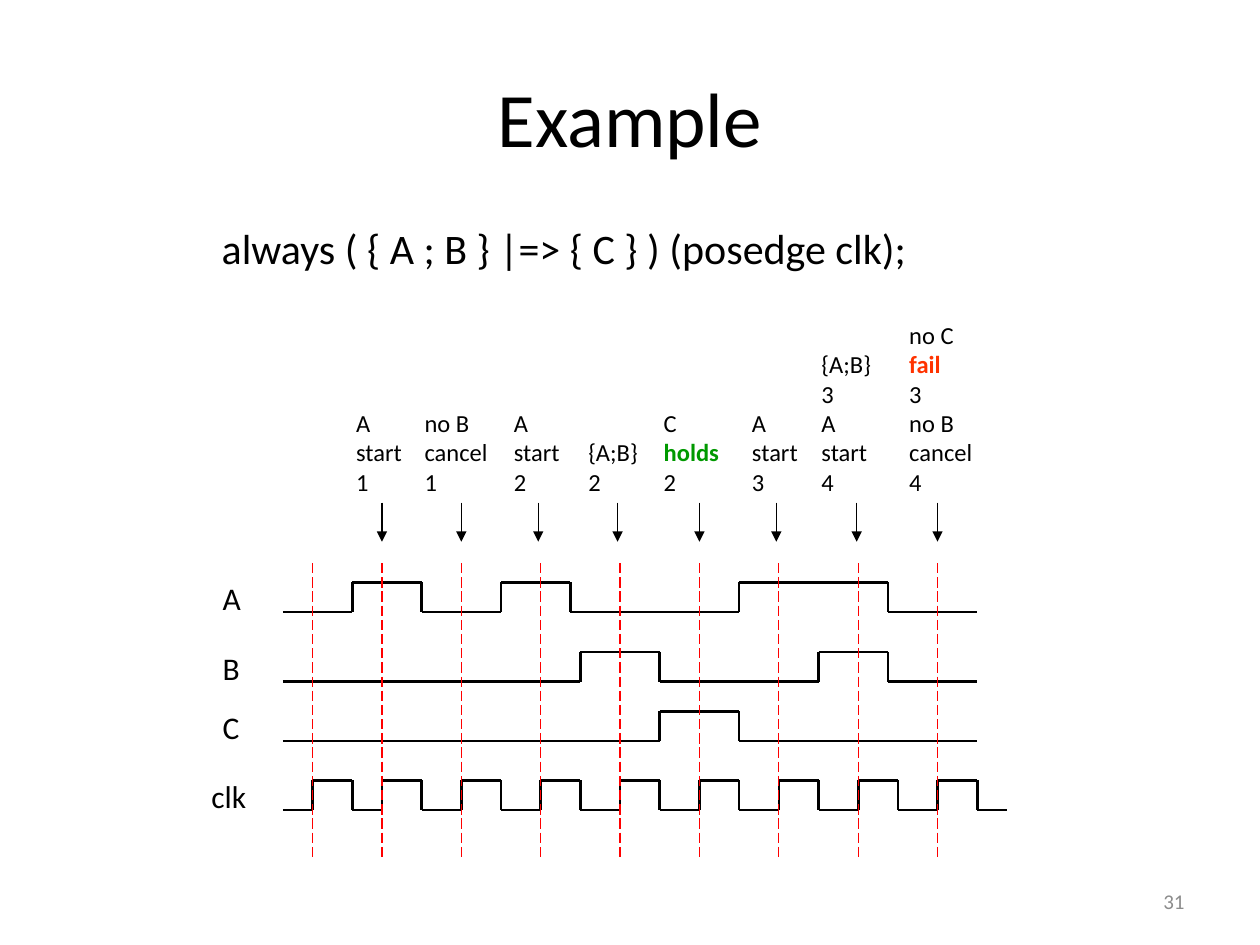
from dataclasses import dataclass

from lxml import etree
from pptx import Presentation
from pptx.dml.color import RGBColor
from pptx.enum.dml import MSO_LINE
from pptx.enum.shapes import MSO_CONNECTOR
from pptx.enum.text import MSO_ANCHOR, MSO_AUTO_SIZE, PP_ALIGN
from pptx.oxml.ns import qn
from pptx.shapes.connector import Connector
from pptx.slide import Slide
from pptx.text.text import TextFrame, _Paragraph
from pptx.util import Cm, Pt

STRAIGHT = MSO_CONNECTOR.STRAIGHT
LONG_DASH = MSO_LINE.LONG_DASH
MIDDLE = MSO_ANCHOR.MIDDLE
GROW = MSO_AUTO_SIZE.SHAPE_TO_FIT_TEXT
NO_FIT = MSO_AUTO_SIZE.NONE
CENTER, RIGHT = PP_ALIGN.CENTER, PP_ALIGN.RIGHT

BLACK = RGBColor(0x00, 0x00, 0x00)
RED = RGBColor(0xFF, 0x00, 0x00)
GREEN = RGBColor(0x00, 0x99, 0x00)
ORANGE = RGBColor(0xFF, 0x33, 0x00)
GRAY = RGBColor(0x8C, 0x8C, 0x8C)
VERDICT_COLORS = {"holds": GREEN, "fail": ORANGE}

FONT = "Calibri"
WAVE_START, WAVE_END, CLOCK_END = 5.7, 19.7, 20.3
WAVE_HEIGHT = 0.6
LABEL_RISE = 0.79
CLOCK_TOP, CLOCK_BOTTOM = 11.35, 17.35
EVENT_BOTTOM, ARROW_BOTTOM = 10.13, 10.92
LINE_HEIGHT, BOX_PADDING = 0.593, 0.25

CLOCK_RISES = [6.3] + [7.7 + 1.6 * cycle for cycle in range(8)]
CLOCK_FALLS = [7.1] + [rise + 0.8 for rise in CLOCK_RISES[1:]]
CLOCK_EDGES = sorted(CLOCK_RISES + CLOCK_FALLS)


@dataclass(frozen=True)
class Signal:
    name: str
    label_left: float
    label_width: float
    low: float
    edges: list[float]
    end: float = WAVE_END


@dataclass(frozen=True)
class Event:
    lines: list[str]
    left: float
    width: float
    arrow: float


SIGNALS = [
    Signal("A", 4.24, 0.94, 12.34, [7.1, 8.5, 10.1, 11.5, 14.9, 17.9]),
    Signal("B", 4.24, 0.94, 13.74, [11.7, 13.3, 16.5, 17.9]),
    Signal("C", 4.24, 0.96, 14.94, [13.3, 14.9]),
    Signal("clk", 4.01, 1.3, 16.33, CLOCK_EDGES, CLOCK_END),
]

EVENTS = [
    Event(["A", "start", "1"], 6.93, 1.47, 7.7),
    Event(["no B", "cancel", "1"], 8.31, 1.93, 9.3),
    Event(["A", "start", "2"], 10.11, 1.47, 10.85),
    Event(["{A;B}", "2"], 11.61, 1.63, 12.45),
    Event(["C", "holds", "2"], 13.13, 1.83, 14.1),
    Event(["A", "start", "3"], 14.91, 1.47, 15.65),
    Event(["{A;B}", "3", "A", "start", "4"], 16.31, 1.63, 17.27),
    Event(["no C", "fail", "3", "no B", "cancel", "4"], 18.08, 1.93, 18.9),
]


def add_run(paragraph: _Paragraph, text: str, size: float,
            color: RGBColor = BLACK, bold: bool = False) -> None:
    run = paragraph.add_run()
    run.text = text
    run.font.name = FONT
    run.font.size = Pt(size)
    run.font.bold = bold
    run.font.color.rgb = color


def add_text_frame(slide: Slide, left: float, top: float, width: float,
                   height: float, wrap: bool = False) -> TextFrame:
    shape = slide.shapes.add_textbox(Cm(left), Cm(top), Cm(width), Cm(height))
    frame = shape.text_frame
    frame.word_wrap = wrap
    frame.auto_size = GROW
    return frame


def add_line(slide: Slide, start: tuple[float, float], end: tuple[float, float],
             color: RGBColor = BLACK, width: float = 0.75) -> Connector:
    line = slide.shapes.add_connector(
        STRAIGHT, Cm(start[0]), Cm(start[1]), Cm(end[0]), Cm(end[1]))
    line.line.color.rgb = color
    line.line.width = Pt(width)
    etree.SubElement(line._element.spPr, qn("a:effectLst"))
    return line


def add_signal(slide: Slide, signal: Signal) -> None:
    label = add_text_frame(slide, signal.label_left, signal.low - LABEL_RISE,
                           signal.label_width, 1.03)
    add_run(label.paragraphs[0], signal.name, 18)
    high = signal.low - WAVE_HEIGHT
    stops = [WAVE_START, *signal.edges, signal.end]
    for index, (left, right) in enumerate(zip(stops, stops[1:])):
        level = high if index % 2 else signal.low
        add_line(slide, (left, level), (right, level), width=1.5)
    for edge in signal.edges:
        add_line(slide, (edge, high), (edge, signal.low), width=1.5)


def add_clock_marker(slide: Slide, x: float) -> None:
    marker = add_line(slide, (x, CLOCK_TOP), (x, CLOCK_BOTTOM), RED)
    marker.line.dash_style = LONG_DASH


def add_event(slide: Slide, event: Event) -> None:
    height = len(event.lines) * LINE_HEIGHT + BOX_PADDING
    frame = add_text_frame(slide, event.left, EVENT_BOTTOM - height,
                           event.width, height)
    for index, text in enumerate(event.lines):
        paragraph = frame.add_paragraph() if index else frame.paragraphs[0]
        add_run(paragraph, text, 14, VERDICT_COLORS.get(text, BLACK),
                text in VERDICT_COLORS)
    arrow = add_line(slide, (event.arrow, EVENT_BOTTOM),
                     (event.arrow, ARROW_BOTTOM))
    etree.SubElement(arrow.line._get_or_add_ln(), qn("a:tailEnd"),
                     type="triangle")


def add_title(slide: Slide) -> None:
    title = slide.shapes.title
    title.left, title.top = Cm(1.27), Cm(0.76)
    title.width, title.height = Cm(22.86), Cm(3.18)
    title.text_frame.vertical_anchor = MIDDLE
    paragraph = title.text_frame.paragraphs[0]
    paragraph.alignment = CENTER
    add_run(paragraph, "Example", 44)


def add_property(slide: Slide) -> None:
    frame = add_text_frame(slide, 2.95, 4.37, 20.7, 1.27, wrap=True)
    paragraph = frame.paragraphs[0]
    paragraph.level = 1
    properties = paragraph._p.get_or_add_pPr()
    properties.set("marL", str(Cm(1.27)))
    properties.set("indent", "0")
    add_run(paragraph, "always ( { A ; B } |=> { C } ) (posedge clk);", 24)


def add_slide_number(slide: Slide) -> None:
    frame = add_text_frame(slide, 18.21, 17.65, 5.92, 1.02, wrap=True)
    frame.auto_size = NO_FIT
    frame.vertical_anchor = MIDDLE
    paragraph = frame.paragraphs[0]
    paragraph.alignment = RIGHT
    add_run(paragraph, "31", 12, GRAY)


def main() -> None:
    presentation = Presentation()
    presentation.slide_width, presentation.slide_height = Cm(25.4), Cm(19.05)
    slide = presentation.slides.add_slide(presentation.slide_layouts[5])
    add_title(slide)
    add_property(slide)
    for signal in SIGNALS:
        add_signal(slide, signal)
    for x in CLOCK_RISES:
        add_clock_marker(slide, x)
    for event in EVENTS:
        add_event(slide, event)
    add_slide_number(slide)
    presentation.save("out.pptx")


if __name__ == "__main__":
    main()
